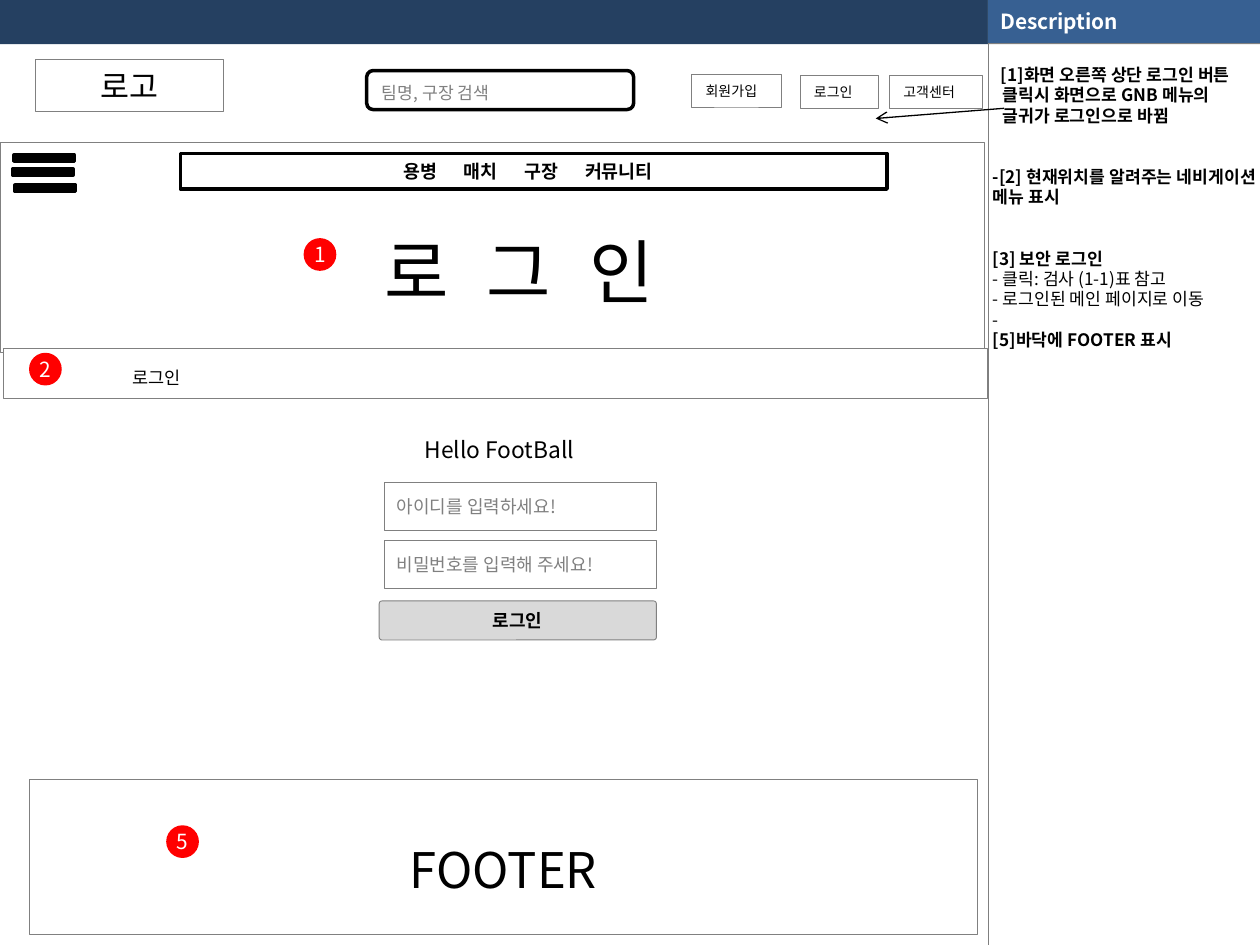
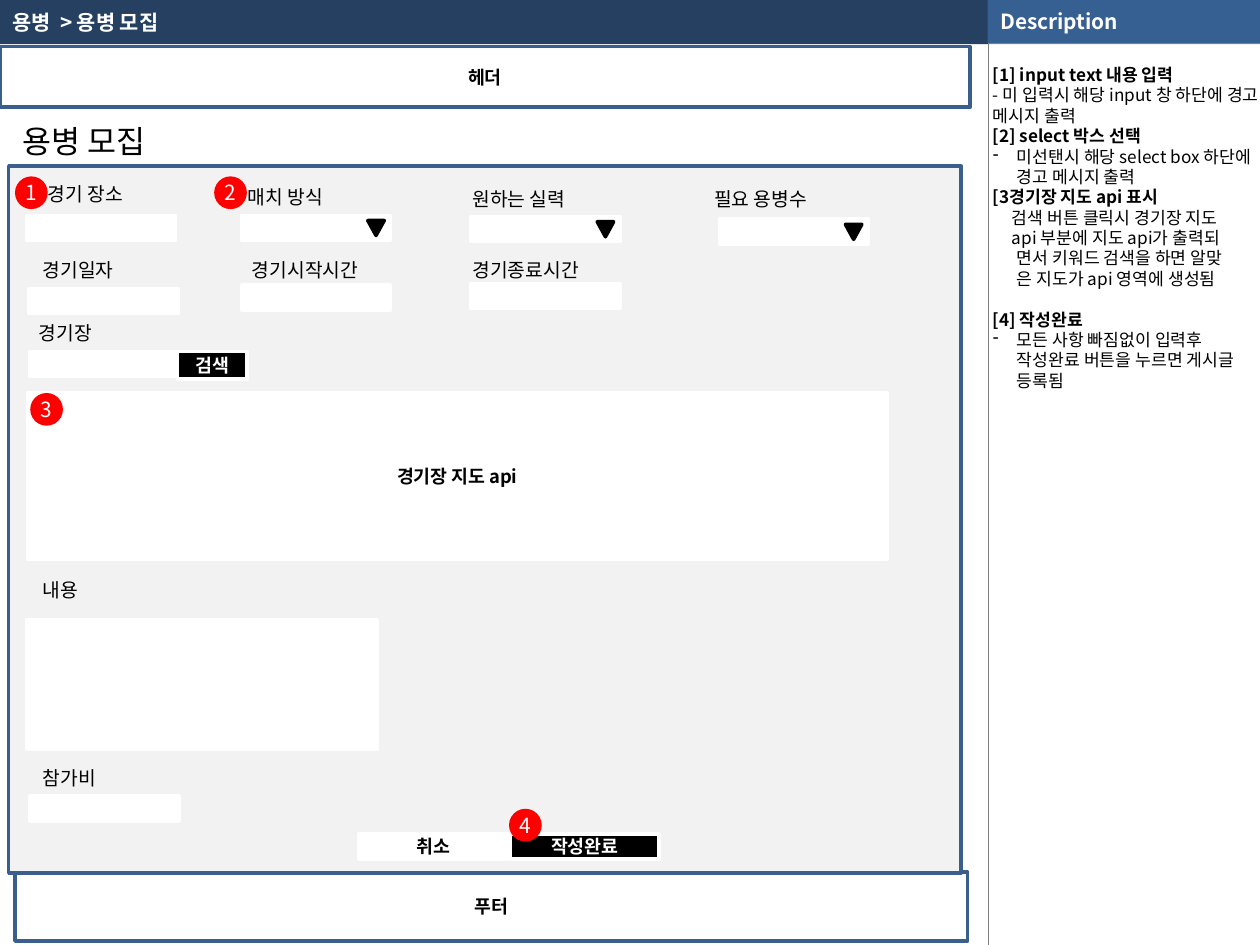
from dataclasses import dataclass

from lxml import etree
from pptx import Presentation
from pptx import util as u
from pptx.dml.color import RGBColor
from pptx.enum import shapes, text
from pptx.oxml.ns import qn

Pt = u.Pt
G = shapes.MSO_SHAPE
MID, TOP = text.MSO_ANCHOR.MIDDLE, text.MSO_ANCHOR.TOP
LEFT, CENTER = text.PP_ALIGN.LEFT, text.PP_ALIGN.CENTER


@dataclass(frozen=True)
class Theme:
    font: str = "Noto Sans CJK KR"
    navy: str = "254061"
    blue: str = "376092"
    frame: str = "3A5F8C"
    gray: str = "808080"
    rule: str = "7F7F7F"
    panel: str = "F2F2F2"
    button: str = "D9D9D9"
    red: str = "FF0000"
    black: str = "000000"
    white: str = "FFFFFF"
    hero: float = 40
    footer: float = 28
    title: float = 18
    greeting: float = 13
    band: float = 11.9
    label: float = 11
    strong: float = 10.5
    field: float = 10.3
    crumb: float = 10
    note: float = 9.8
    small: float = 8
    pitch: float = 1.19
    hair: float = 0.5
    thick: float = 2


T = Theme()


@dataclass(frozen=True)
class Note:
    text: str
    bold: bool = False
    indent: float = 0
    bullet: str = ""
    skip: int = 0


def inside(area, x, y, w, h):
    return area[0] + x, area[1] + y, w, h


def add_run(p, words, size, color, bold=False, gap=0):
    r = p.add_run()
    r.text = words
    for key, value in dict(name=T.font, size=Pt(size), bold=bold).items():
        setattr(r.font, key, value)
    r.font.color.rgb = RGBColor.from_string(color)
    rPr = r.font._element
    etree.SubElement(rPr, qn("a:ea")).set("typeface", T.font)
    if gap:
        rPr.set("spc", str(round(gap * 100)))


def set_frame(tf, ins, anchor, wrap=True):
    left, top, right, bottom = ins
    frame = dict(margin_left=Pt(left), margin_top=Pt(top), margin_right=Pt(right),
                 margin_bottom=Pt(bottom), vertical_anchor=anchor, word_wrap=wrap)
    for key, value in frame.items():
        setattr(tf, key, value)


def write(sp, words, size, color=T.black, bold=False, align=LEFT, ins=(7.2, 0, 7.2, 0),
          anchor=MID, wrap=True, gap=0):
    tf = sp.text_frame
    set_frame(tf, ins, anchor, wrap)
    p = tf.paragraphs[0]
    p.alignment = align
    p.line_spacing = Pt(round(size * T.pitch, 2))
    for i, part in enumerate([words] if isinstance(words, str) else words):
        if i:
            add_run(p, " ", size, color, bold, gap)
        add_run(p, part, size, color, bold)


def add_box(s, box, fill=T.white, line=None, width=T.hair, kind=G.RECTANGLE):
    sp = s.shapes.add_shape(kind, *map(Pt, box))
    sp.shadow.inherit = False
    if fill:
        sp.fill.solid()
        sp.fill.fore_color.rgb = RGBColor.from_string(fill)
    else:
        sp.fill.background()
    if line:
        sp.line.color.rgb = RGBColor.from_string(line)
        sp.line.width = Pt(width)
    else:
        sp.line.fill.background()
    return sp


def add_label(s, box, words, size, ins=(7.2, 3.6, 7.2, 3.6)):
    write(s.shapes.add_textbox(*map(Pt, box)), words, size, ins=ins, anchor=TOP)


def add_line(s, start, end, color, width, arrow=False):
    c = s.shapes.add_connector(shapes.MSO_CONNECTOR.STRAIGHT, *map(Pt, start + end))
    c.line.color.rgb = RGBColor.from_string(color)
    c.line.width = Pt(width)
    spPr = c._element.spPr
    if arrow:
        etree.SubElement(spPr.find(qn("a:ln")), qn("a:tailEnd")).set("type", "arrow")
    etree.SubElement(spPr, qn("a:effectLst"))


def add_badge(s, area, x, y, number):
    sp = add_box(s, inside(area, x, y, 18.7, 18.7), T.red, kind=G.OVAL)
    write(sp, str(number), T.band, T.white, align=CENTER, ins=(0, 0, 0, 0), wrap=False)


def add_notes(s, area, notes):
    tf = s.shapes.add_textbox(*map(Pt, area)).text_frame
    pitch = round(T.note * T.pitch, 2)
    set_frame(tf, (2.9, pitch, 0, 0), TOP)
    for i, note in enumerate(notes):
        p = tf.add_paragraph() if i else tf.paragraphs[0]
        pPr = p._p.get_or_add_pPr()
        pPr.set("marL", str(Pt(note.indent)))
        if note.bullet:
            pPr.set("indent", str(-Pt(note.indent)))
            etree.SubElement(pPr, qn("a:buChar")).set("char", note.bullet)
        p.line_spacing = Pt(pitch)
        p.space_before = Pt(pitch * note.skip)
        add_run(p, note.text, T.note, T.black, note.bold)


def page(prs, notes, title=None):
    s = prs.slides.add_slide(prs.slide_layouts[6])
    split, height, width = 564.5, 25.2, 155.5
    band = add_box(s, (0, 0, split, height), T.navy)
    if title:
        write(band, title, T.band, T.white, True, gap=2.7)
    add_box(s, (split, 0, width, height), T.gray)
    add_line(s, (split, 0), (split, height), T.white, 0.25)
    add_line(s, (split, 24.5), (split, 540), T.rule, 0.25)
    head = add_box(s, (split, 0, width, 24.5), T.blue)
    write(head, "Description", T.band, T.white, True)
    add_notes(s, (split, height, width, 514.8), notes)
    return s


def top_bar(s, area):
    logo = add_box(s, inside(area, 20.2, 8.6, 107.3, 30.2), line=T.gray)
    write(logo, "로고", T.title, align=CENTER)
    add_box(s, inside(area, 209.5, 15.1, 152.6, 22.3), line=T.black, width=T.thick,
            kind=G.ROUNDED_RECTANGLE)
    search = add_box(s, inside(area, 214.6, 20.9, 85.7, 13.7), None, T.white)
    write(search, "팀명, 구장 검색", T.note, T.gray, ins=(3.6, 0, 0, 0))
    for name, x, y, w in (("회원가입", 395.3, 17.3, 51.1), ("로그인", 457.2, 18, 44.6),
                          ("고객센터", 508.3, 18, 53.3)):
        sp = add_box(s, inside(area, x, y, w, 18.7), line=T.gray)
        write(sp, name, T.small, ins=(7.9, 0, 0, 0))
    x, y = area[:2]
    add_line(s, (x + 573.8, y + 36.7), (x + 500.4, y + 42.5), T.black, 0.75, True)


def hero(s, area):
    add_box(s, area, line=T.gray)
    heading = add_box(s, inside(area, 112.3, 42.4, 371.5, 61.9), line=T.white)
    write(heading, ["로", "그", "인"], T.hero, align=CENTER, ins=(3.6, 0, 6.6, 0), gap=13)
    for x, y in ((7.9, 7.2), (7.2, 15.1), (8.6, 24.4)):
        add_box(s, inside(area, x, y, 34.6, 3.6), T.black, T.black, T.thick)
    menu = add_box(s, inside(area, 103, 6.4, 403.9, 20.2), line=T.black, width=T.thick)
    write(menu, ["용병", "매치", "구장", "커뮤니티"], T.strong, bold=True, align=CENTER,
          ins=(7.2, 0, 13.8, 0), gap=13)
    add_badge(s, area, 173.5, 54.7, 1)


def breadcrumb(s, area):
    add_box(s, area, line=T.gray)
    here = add_box(s, inside(area, 65.5, 5.8, 61.9, 20.9), line=T.white)
    write(here, "로그인", T.crumb, ins=(7.9, 0, 0, 0))
    add_badge(s, area, 14.4, 2.2, 2)


def login_form(s, area):
    add_label(s, inside(area, 0, 0, 198.7, 23), "Hello FootBall", T.greeting,
              (32.6, 3.6, 7.2, 3.6))
    for i, hint in enumerate(("아이디를 입력하세요!", "비밀번호를 입력해 주세요!")):
        sp = add_box(s, inside(area, 9.4, 30.3 + 33.1 * i, 155.5, 27.4), line=T.gray)
        write(sp, hint, T.field, T.gray)
    submit = add_box(s, inside(area, 6.5, 97.9, 158.4, 22.3), T.button, T.gray,
                     kind=G.ROUNDED_RECTANGLE)
    submit.adjustments[0] = 0.07
    write(submit, "로그인", T.field, bold=True, align=CENTER)


def footer(s, area):
    write(add_box(s, area, line=T.gray), "FOOTER", T.footer, align=CENTER,
          ins=(3.6, 16.6, 3.6, 3.6))
    add_badge(s, area, 78.4, 25.9, 5)


def framed_bar(s, area, name):
    sp = add_box(s, area, line=T.frame, width=T.thick)
    write(sp, name, T.strong, bold=True, align=CENTER)


def recruit_form(s, area):
    add_box(s, area, T.panel, T.frame, T.thick)
    fields = (
        ("경기 장소", 15.2, 5.8, 10.1, 28.1, 85, 14.4, False),
        ("매치 방식", 129.6, 7.2, 133.2, 28.1, 85, 14.4, True),
        ("원하는 실력", 257.8, 8.7, 264.3, 28.8, 85, 14.4, True),
        ("필요 용병수", 396, 8.7, 406.1, 30.3, 85, 14.4, True),
        ("경기일자", 12.3, 49, 11.6, 69.9, 85, 14.4, False),
        ("경기시작시간", 131.8, 49, 133.2, 67.7, 85, 14.4, False),
        ("경기종료시간", 257.8, 49, 264.3, 67, 85, 14.4, False),
        ("경기장", 10.1, 85, 12.3, 105.9, 83.5, 14.4, False),
        ("내용", 12.3, 231.9, 10.1, 259.2, 200.2, 74.2, False),
        ("참가비", 12.3, 339.2, 12.3, 360, 85, 14.4, False),
    )
    for name, lx, ly, x, y, w, h, select in fields:
        add_label(s, inside(area, lx, ly, 120, 20), name, T.label)
        add_box(s, inside(area, x, y, w, h), line=T.white, width=T.thick)
        if select:
            add_box(s, inside(area, x + 72, y + 2.9, 9.4, 8.6), T.black, T.black, T.thick,
                    G.FLOWCHART_MERGE)
    buttons = (
        ("검색", 96.5, 105.9, 39.6, 15.8, T.black, T.white),
        ("경기장 지도 api", 10.8, 129.6, 491, 95, T.white, T.black),
        ("작성완료", 286.6, 381.6, 85, 14.4, T.black, T.white),
        ("취소", 200.2, 381.6, 85, 14.4, T.white, T.black),
    )
    for name, x, y, w, h, fill, color in buttons:
        sp = add_box(s, inside(area, x, y, w, h), fill, T.white, T.thick)
        write(sp, name, T.strong, color, True, CENTER)
    for number, (x, y) in enumerate(((3.6, 5.8), (117.4, 5.8), (12.3, 129.6),
                                     (285.9, 367.2)), 1):
        add_badge(s, area, x, y, number)


def login_slide(prs):
    s = page(prs, (
        Note("[1]화면 오른쪽 상단 로그인 버튼", True, 4.6),
        Note("클릭시 화면으로 GNB 메뉴의", True, 5.6),
        Note("글귀가 로그인으로 바뀜", True, 5.6),
        Note("-[2] 현재위치를 알려주는 네비게이션 메뉴 표시", True, skip=2),
        Note("[3] 보안 로그인", True, skip=2),
        Note("- 클릭: 검사 (1-1)표 참고"),
        Note("- 로그인된 메인 페이지로 이동"),
        Note("-"),
        Note("[5]바닥에 FOOTER 표시", True),
    ))
    hero(s, (0, 81.4, 562.3, 120.2))
    top_bar(s, (0, 25.2, 564.5, 56.2))
    breadcrumb(s, (2.2, 199.4, 562.3, 28.1))
    login_form(s, (210.2, 245.5, 198.7, 120.2))
    footer(s, (16.6, 445.7, 542.2, 88.6))


def recruit_slide(prs):
    s = page(prs, (
        Note("[1] input text 내용 입력", True),
        Note("- 미 입력시 해당 input 창 하단에 경고 메시지 출력"),
        Note("[2] select 박스 선택", True),
        Note("미선탠시 해당 select box 하단에 경고 메시지 출력", indent=13.7, bullet="-"),
        Note("[3경기장 지도 api 표시", True),
        Note("검색 버튼 클릭시 경기장 지도", indent=10.9),
        Note("api 부분에 지도 api가 출력되", indent=10.9),
        Note("면서 키워드 검색을 하면 알맞", indent=13.7),
        Note("은 지도가 api 영역에 생성됨", indent=13.7),
        Note("[4] 작성완료", True, skip=1),
        Note("모든 사항 빠짐없이 입력후 작성완료 버튼을 누르면 게시글 등록됨",
             indent=13.7, bullet="-"),
    ), ["용병", "> 용병 모집"])
    framed_bar(s, (0, 26.6, 554.4, 34.6), "헤더")
    framed_bar(s, (8.6, 498.2, 544.3, 39.6), "푸터")
    add_label(s, (5.8, 66.2, 104.4, 28.8), "용병 모집", T.title)
    recruit_form(s, (5, 95, 544.3, 403.9))


def main():
    prs = Presentation()
    prs.slide_width, prs.slide_height = Pt(720), Pt(540)
    login_slide(prs)
    recruit_slide(prs)
    prs.save("out.pptx")


if __name__ == "__main__":
    main()
